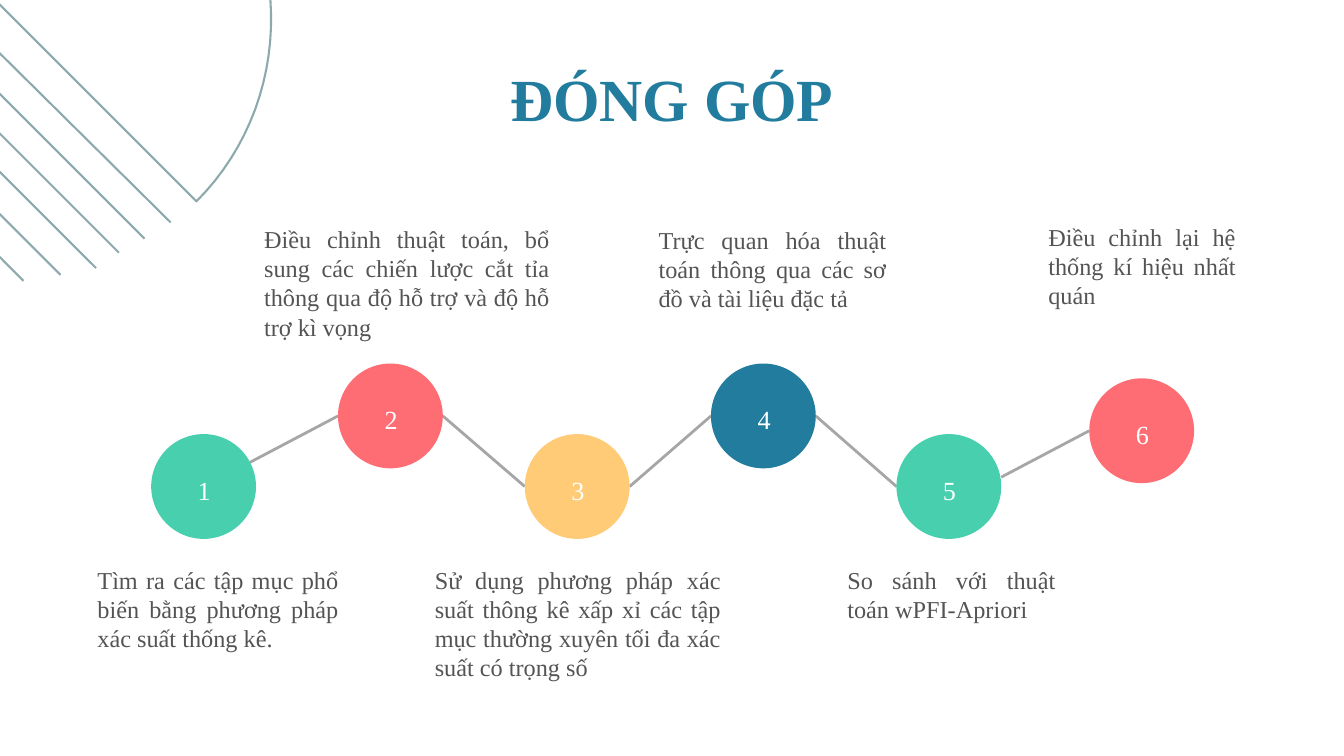
from dataclasses import dataclass
from math import cos, pi, sin

from lxml import etree
from pptx import Presentation
from pptx.dml.color import RGBColor
from pptx.enum.shapes import MSO_CONNECTOR, MSO_SHAPE
from pptx.enum.text import MSO_AUTO_SIZE, PP_ALIGN
from pptx.oxml.ns import qn
from pptx.util import Inches, Pt

STRAIGHT = MSO_CONNECTOR.STRAIGHT
OVAL = MSO_SHAPE.OVAL
GROW = MSO_AUTO_SIZE.SHAPE_TO_FIT_TEXT
CENTER, JUSTIFY = PP_ALIGN.CENTER, PP_ALIGN.JUSTIFY


@dataclass(frozen=True)
class Style:
    size: int
    lead: float
    color: str
    align: int
    bold: bool = False
    gap: int = 0  # letter spacing in hundredths of a point


@dataclass(frozen=True)
class Theme:
    font: str = "Times New Roman"
    green: str = "48CFAE"
    red: str = "FE6D73"
    gold: str = "FFCB77"
    blue: str = "227C9D"
    link: str = "A6A6A6"
    deco: str = "8CA9AD"
    title: Style = Style(64, 55.4, "227C9D", CENTER, bold=True)
    digit: Style = Style(28, 44.8, "FFFFFF", CENTER, gap=340)
    body: Style = Style(26, 31.2, "545454", JUSTIFY)


THEME = Theme()
DISC = 1.56

# Disc colour, disc left and top, note box, note text
STEPS = [
    (THEME.green, 2.25, 6.46, (1.45, 8.41, 3.59, 1.3),
     "Tìm ra các tập mục phổ biến bằng phương pháp xác suất thống kê."),
    (THEME.red, 5.03, 5.41, (3.93, 3.34, 4.25, 1.74),
     "Điều chỉnh thuật toán, bổ sung các chiến lược cắt tỉa "
     "thông qua độ hỗ trợ và độ hỗ trợ kì vọng"),
    (THEME.gold, 7.81, 6.46, (6.47, 8.41, 4.26, 1.74),
     "Sử dụng phương pháp xác suất thông kê xấp xỉ các tập "
     "mục thường xuyên tối đa xác suất có trọng số"),
    (THEME.blue, 10.58, 5.41, (9.8, 3.35, 3.39, 1.3),
     "Trực quan hóa thuật toán thông qua các sơ đồ và tài liệu đặc tả"),
    (THEME.green, 13.34, 6.46, (12.61, 8.41, 3.1, 0.87),
     "So sánh với thuật toán wPFI-Apriori"),
    (THEME.red, 16.21, 5.63, (15.6, 3.3, 2.79, 1.3),
     "Điều chỉnh lại hệ thống kí hiệu nhất quán"),
]

# Links that leave their disc above its right-hand middle: shift by index
SHIFTS = {0: (-0.09, -0.36), 4: (0, -0.14)}

# Ends of the slanted corner stripes
STRIPES = [
    (-3.13, -2.3, 2.54, 3.31),
    (-3.36, -1.96, 2.15, 3.55),
    (-3.56, -1.57, 1.77, 3.76),
    (-3.7, -1.14, 1.43, 3.99),
    (-3.85, -0.66, 0.9, 4.09),
    (-3.99, -0.18, 0.35, 4.18),
]


def rgb(code):
    return RGBColor.from_string(code)


def add_line(slide, ends, color, width):
    line = slide.shapes.add_connector(STRAIGHT, *map(Inches, ends))
    line.line.color.rgb = rgb(color)
    line.line.width = Pt(width)
    etree.SubElement(line._element.spPr, qn("a:effectLst"))


def add_disc(slide, left, top, color):
    disc = slide.shapes.add_shape(OVAL, *map(Inches, (left, top, DISC, DISC)))
    disc.shadow.inherit = False
    disc.fill.solid()
    disc.fill.fore_color.rgb = rgb(color)
    disc.line.fill.background()


def add_dome(slide, left, top, width, height, turn):
    """Outline half an ellipse and turn it about its middle."""
    half, base, count = width / 2, top + height, 60
    arc = [(Inches(left + half - half * cos(pi * i / count)),
            Inches(base - height * sin(pi * i / count)))
           for i in range(count + 1)]
    pen = slide.shapes.build_freeform(*arc[0])
    pen.add_line_segments(arc[1:], close=True)
    dome = pen.convert_to_shape()
    dome.rotation = turn
    dome.shadow.inherit = False
    dome.fill.background()
    dome.line.color.rgb = rgb(THEME.deco)
    dome.line.width = Pt(2.25)


def add_text(slide, box, text, style):
    frame = slide.shapes.add_textbox(*map(Inches, box)).text_frame
    frame.word_wrap = True
    frame.auto_size = GROW
    frame.margin_left = frame.margin_right = 0
    frame.margin_top = frame.margin_bottom = 0
    para = frame.paragraphs[0]
    para.alignment = style.align
    para.line_spacing = Pt(style.lead)
    run = para.add_run()
    run.text = text
    run.font.name = THEME.font
    run.font.size = Pt(style.size)
    run.font.bold = style.bold
    run.font.color.rgb = rgb(style.color)
    if style.gap:
        run._r.get_or_add_rPr().set("spc", str(style.gap))


def add_links(slide):
    for i, (here, after) in enumerate(zip(STEPS, STEPS[1:])):
        dx, dy = SHIFTS.get(i, (0, 0))
        start = (here[1] + DISC + dx, here[2] + DISC / 2 + dy)
        end = (after[1], after[2] + DISC / 2)
        add_line(slide, start + end, THEME.link, 3)


def main():
    deck = Presentation()
    deck.slide_width, deck.slide_height = Inches(20), Inches(11.25)
    slide = deck.slides.add_slide(deck.slide_layouts[6])

    # Links lie under the discs
    add_links(slide)
    for color, left, top, _, _ in STEPS:
        add_disc(slide, left, top, color)

    # Corner ornament
    add_dome(slide, -2.62, -3.2, 8.11, 3.9, 45)
    for ends in STRIPES:
        add_line(slide, ends, THEME.deco, 2.25)

    # Title, numbers and notes
    add_text(slide, (5.84, 1.21, 8.31, 0.78), "ĐÓNG GÓP", THEME.title)
    for num, (_, left, top, box, note) in enumerate(STEPS, 1):
        spot = (left + 0.01, top + 0.44, DISC, 0.57)
        add_text(slide, spot, str(num), THEME.digit)
        add_text(slide, box, note, THEME.body)

    deck.save("out.pptx")


if __name__ == "__main__":
    main()
